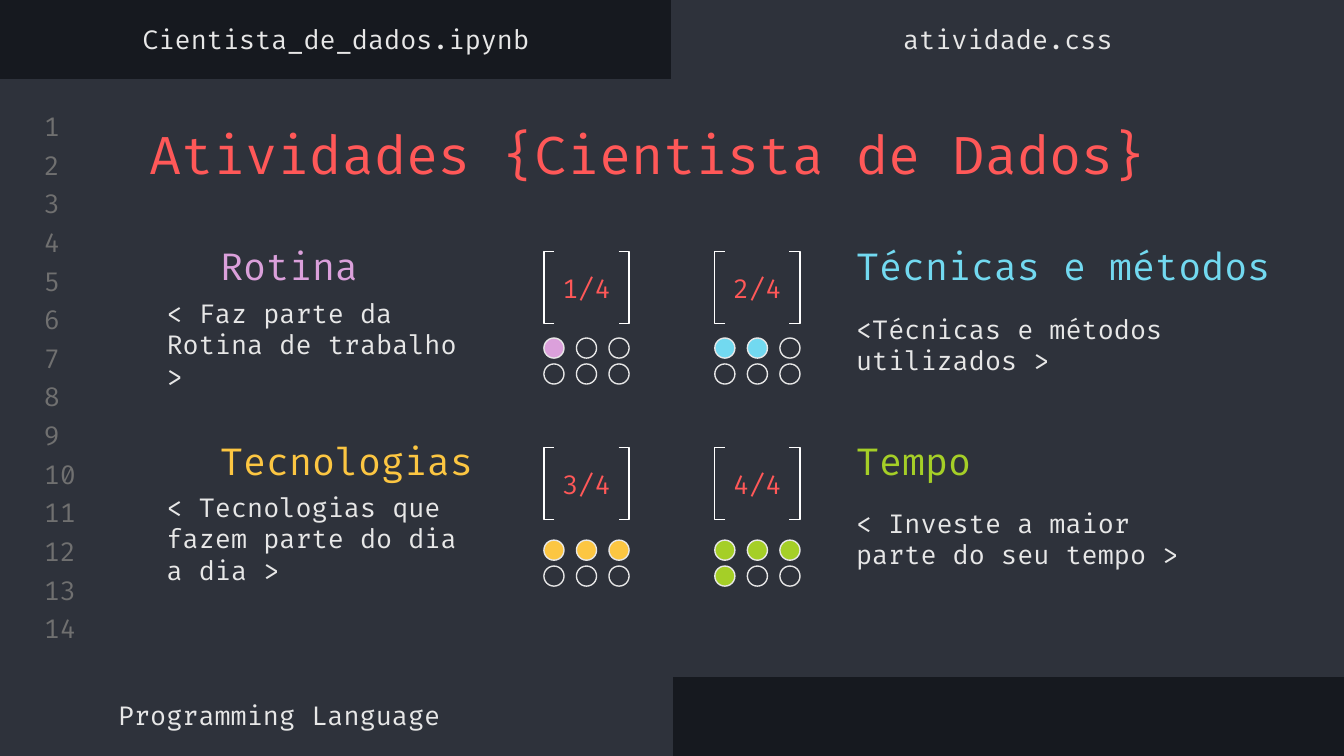
from dataclasses import dataclass

from pptx import Presentation
from pptx.dml.color import RGBColor
from pptx.enum.shapes import MSO_SHAPE
from pptx.enum.text import MSO_ANCHOR, MSO_AUTO_SIZE, PP_ALIGN
from pptx.util import Cm, Pt

RECT, OVAL = MSO_SHAPE.RECTANGLE, MSO_SHAPE.OVAL
BRACKETS = MSO_SHAPE.LEFT_BRACKET, MSO_SHAPE.RIGHT_BRACKET
LEFT, CENTER = PP_ALIGN.LEFT, PP_ALIGN.CENTER
TOP, MIDDLE = MSO_ANCHOR.TOP, MSO_ANCHOR.MIDDLE
NO_AUTOFIT = MSO_AUTO_SIZE.NONE


@dataclass(frozen=True)
class Theme:
    font: str = "Fira Code"
    back: str = "16191F"
    panel: str = "2E323B"
    text: str = "E7E7E7"
    muted: str = "707070"
    bracket: str = "FFFFFF"
    red: str = "FF5858"
    pink: str = "DBA0DB"
    blue: str = "72D9F0"
    yellow: str = "FCC642"
    green: str = "A5CF27"
    title_size: int = 28
    heading_size: int = 20
    body_size: int = 14
    line: float = 0.75
    inset: float = 0.25


def write(tf, text, *, theme, size, color, align=LEFT, anchor=MIDDLE,
          spacing=None, indent=0):
    tf.word_wrap = True
    tf.auto_size = NO_AUTOFIT
    tf.vertical_anchor = anchor
    tf.margin_left = Cm(theme.inset + indent)
    tf.margin_right = tf.margin_top = tf.margin_bottom = Cm(theme.inset)
    p = tf.paragraphs[0]
    p.alignment = align
    p.line_spacing = spacing
    r = p.add_run()
    r.text = text
    r.font.name = theme.font
    r.font.size = Pt(size)
    r.font.color.rgb = RGBColor.from_string(color)


class Editor:
    def __init__(self, prs, theme):
        self.theme = theme
        self.s = prs.slides.add_slide(prs.slide_layouts[5])
        fill = self.s.background.fill
        fill.solid()
        fill.fore_color.rgb = RGBColor.from_string(theme.back)

    def shape(self, kind, x, y, w, h, line, fill=None):
        sp = self.s.shapes.add_shape(kind, Cm(x), Cm(y), Cm(w), Cm(h))
        sp.shadow.inherit = False
        sp.line.color.rgb = RGBColor.from_string(line)
        sp.line.width = Pt(self.theme.line)
        if fill:
            sp.fill.solid()
            sp.fill.fore_color.rgb = RGBColor.from_string(fill)
        else:
            sp.fill.background()
        return sp

    def panel(self, x, y, w, h):
        self.shape(RECT, x, y, w, h, self.theme.panel, self.theme.panel)

    def title(self, text, x, y, w, h):
        sp = self.s.shapes.title
        sp.element.getparent().append(sp.element)
        sp.left, sp.top, sp.width, sp.height = Cm(x), Cm(y), Cm(w), Cm(h)
        write(sp.text_frame, text, theme=self.theme, size=self.theme.title_size,
              color=self.theme.red, anchor=TOP, spacing=1.36, indent=0.59)

    def text(self, text, x, y, w, h, size=None, color=None, align=LEFT):
        sp = self.s.shapes.add_textbox(Cm(x), Cm(y), Cm(w), Cm(h))
        write(sp.text_frame, text, theme=self.theme, align=align,
              size=size or self.theme.body_size, color=color or self.theme.text)

    def counter(self, text, x, y):
        width, bracket_w = 1.61, 0.2
        for kind, left in zip(BRACKETS, (x, x + width - bracket_w)):
            sp = self.shape(kind, left, y, bracket_w, 1.36, self.theme.bracket)
            sp.adjustments[0] = 0
        self.text(text, x, y + 0.2, width, 0.99, color=self.theme.red, align=CENTER)

    def dots(self, x, y, filled, color):
        for i in range(6):
            row, col = divmod(i, 3)
            self.shape(OVAL, x + col * 0.615, y + row * 0.49, 0.38, 0.38,
                       self.theme.text, color if i < filled else None)


def main():
    prs = Presentation()
    prs.slide_width, prs.slide_height = Cm(25.4), Cm(14.29)
    theme = Theme()
    ed = Editor(prs, theme)

    ed.panel(12.7, 0, 12.7, 1.65)
    ed.panel(0, 12.65, 12.7, 1.64)
    ed.panel(0, 1.5, 25.4, 11.28)
    for i in range(14):
        ed.text(str(i + 1), 0.58, 2.08 + i * 0.73, 1.2, 0.61, color=theme.muted)

    ed.title("Atividades {Cientista de Dados}", 1.98, 1.63, 22.66, 2.11)
    ed.text("Cientista_de_dados.ipynb", 0, 0.25, 12.7, 0.99, align=CENTER)
    ed.text("atividade.css", 12.7, 0.25, 12.7, 0.99, align=CENTER)
    ed.text("Programming Language", 1.98, 13.03, 13.51, 0.99)

    activities = [
        ("Rotina", "< Faz parte da Rotina de trabalho >", theme.pink),
        ("Técnicas e métodos", "<Técnicas e métodos utilizados >", theme.blue),
        ("Tecnologias", "< Tecnologias que fazem parte do dia a dia >", theme.yellow),
        ("Tempo", "< Investe a maior parte do seu tempo >", theme.green),
    ]
    columns = [(3.91, 2.9, 6.58, 10.28), (15.93, 15.93, 6.83, 13.51)]
    rows = [(4.55, 5.61, 4.75, 6.39), (8.23, 9.28, 8.46, 10.21)]
    for n, (heading, body, color) in enumerate(activities, 1):
        row, col = divmod(n - 1, 2)
        heading_x, body_x, body_w, counter_x = columns[col]
        heading_y, body_y, counter_y, dots_y = rows[row]
        ed.text(heading, heading_x, heading_y, 8.71 if col else 6.05, 0.94,
                size=theme.heading_size, color=color)
        ed.text(body, body_x, body_y, body_w, 1.8)
        ed.counter(f"{n}/4", counter_x, counter_y)
        ed.dots(counter_x, dots_y, n, color)

    prs.save("out.pptx")


if __name__ == "__main__":
    main()
